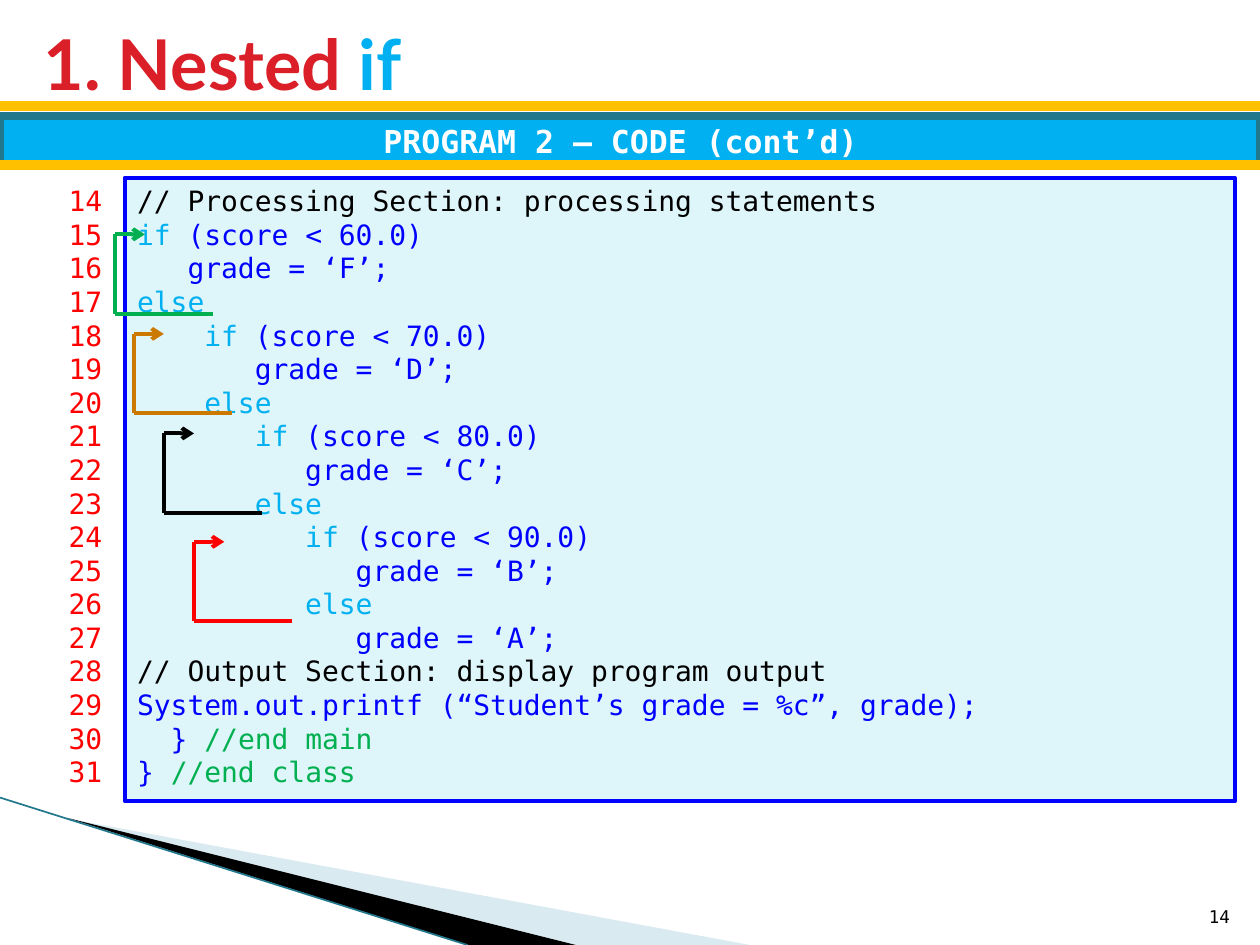
from lxml import etree
from pptx import Presentation
from pptx.dml.color import RGBColor
from pptx.enum.shapes import MSO_CONNECTOR, MSO_SHAPE
from pptx.enum.text import MSO_ANCHOR, PP_ALIGN
from pptx.oxml.ns import qn
from pptx.util import Inches, Pt

LEFT, CENTER, RIGHT = PP_ALIGN.LEFT, PP_ALIGN.CENTER, PP_ALIGN.RIGHT
TOP, MIDDLE, BOTTOM = MSO_ANCHOR.TOP, MSO_ANCHOR.MIDDLE, MSO_ANCHOR.BOTTOM
RECTANGLE, STRAIGHT = MSO_SHAPE.RECTANGLE, MSO_CONNECTOR.STRAIGHT

MONO, HEADING = "DejaVu Sans Mono", "Lato"
BLACK, WHITE, RED, CRIMSON = "000000", "FFFFFF", "FF0000", "DA1F28"
BLUE, SKY, GREEN, OCHRE, GOLD = "0000FF", "00B0F0", "00B050", "CC7900", "FFC000"

TITLE = [[("1. Nested ", CRIMSON), ("if", SKY)]]
BANNER = [[("PROGRAM 2 – CODE (cont’d) ", WHITE)]]
PAGE_NUMBER = [[("14", BLACK)]]
FIRST_LINE = 14
CODE = [
    [("// Processing Section: processing statements", BLACK)],
    [("if", SKY), (" (score < 60.0)", BLUE)],
    [("   grade = ‘F’;", BLUE)],
    [("else", SKY)],
    [("    if", SKY), (" (score < 70.0)", BLUE)],
    [("       grade = ‘D’;", BLUE)],
    [("    else", SKY)],
    [("       if ", SKY), ("(score < 80.0)", BLUE)],
    [("          grade = ‘C’;", BLUE)],
    [("       else", SKY)],
    [("          if ", SKY), ("(score < 90.0)", BLUE)],
    [("             grade = ‘B’;", BLUE)],
    [("          else", SKY)],
    [("             grade = ‘A’;", BLUE)],
    [("// Output Section: display program output", BLACK)],
    [("System.out.printf (“Student’s grade = %c”, grade);", BLUE)],
    [("  } ", BLUE), ("//end main", GREEN)],
    [("} ", BLUE), ("//end class", GREEN)],
]
NUMBERS = [[(str(FIRST_LINE + row), RED)] for row in range(len(CODE))]

BRACKETS = [(1.54, 4.3, RED), (1.3, 3.44, BLACK), (1.06, 2.65, OCHRE), (0.91, 1.86, GREEN)]
BRACKET_WIDTH, BRACKET_HEIGHT, ARROW_LENGTH = 0.78, 0.63, 0.24
SWOOSHES = [
    ([(0.55, 6.5), (5.95, 7.5), (4.56, 7.5)], "A0CBDC", 40),
    ([(0.53, 6.49), (4.57, 7.5), (3.72, 7.5)], BLACK, 100),
]


def color(value):
    """Turn a hex string into a colour."""
    return RGBColor.from_string(value)


def write(box, lines, size, font=MONO, bold=False, align=LEFT, anchor=TOP):
    """Fill a box with paragraphs of coloured spans."""
    frame = box.text_frame
    frame.word_wrap = True
    frame.vertical_anchor = anchor
    style = {"name": font, "size": Pt(size), "bold": bold}
    for index, spans in enumerate(lines):
        para = frame.paragraphs[0] if index == 0 else frame.add_paragraph()
        para.alignment = align
        for text, ink in spans:
            span = para.add_run()
            span.text = text
            span.font.color.rgb = color(ink)
            for name, value in style.items():
                setattr(span.font, name, value)


def add_text(page, area, lines, size, **style):
    """Add a text box."""
    box = page.shapes.add_textbox(*map(Inches, area))
    write(box, lines, size, **style)


def add_panel(page, area, fill, outline, width):
    """Add an outlined rectangle."""
    panel = page.shapes.add_shape(RECTANGLE, *map(Inches, area))
    panel.shadow.inherit = False
    panel.fill.solid()
    panel.fill.fore_color.rgb = color(fill)
    panel.line.color.rgb = color(outline)
    panel.line.width = Pt(width)
    return panel


def add_line(page, start, end, ink, width, arrow=False):
    """Add a straight line, with an arrowhead at its end on request."""
    line = page.shapes.add_connector(STRAIGHT, *map(Inches, start + end))
    line.line.color.rgb = color(ink)
    line.line.width = Pt(width)
    properties = line.line._get_or_add_ln()
    if arrow:
        etree.SubElement(properties, qn("a:tailEnd"), type="arrow")
    etree.SubElement(properties.getparent(), qn("a:effectLst"))


def add_swoosh(page, points, fill, opacity):
    """Add a filled triangle of the footer decoration."""
    corners = [(Inches(x), Inches(y)) for x, y in points]
    builder = page.shapes.build_freeform(*corners[0], scale=1.0)
    builder.add_line_segments(corners[1:], close=True)
    swoosh = builder.convert_to_shape()
    swoosh.shadow.inherit = False
    swoosh.fill.solid()
    swoosh.fill.fore_color.rgb = color(fill)
    swoosh.line.fill.background()
    if opacity < 100:
        tint = swoosh._element.spPr.find(qn("a:solidFill"))[0]
        etree.SubElement(tint, qn("a:alpha"), val=str(opacity * 1000))


def add_bracket(page, left, top, ink):
    """Link an else back to its if with three lines."""
    right, bottom = left + BRACKET_WIDTH, top + BRACKET_HEIGHT
    corners = [(right, bottom), (left, bottom), (left, top), (left + ARROW_LENGTH, top)]
    for index, (start, end) in enumerate(zip(corners, corners[1:])):
        add_line(page, start, end, ink, 2.25, arrow=index == 2)


def main():
    """Build the slide and save it."""
    deck = Presentation()
    deck.slide_width, deck.slide_height = Inches(10), Inches(7.5)
    page = deck.slides.add_slide(deck.slide_layouts[6])

    for swoosh in SWOOSHES:
        add_swoosh(page, *swoosh)
    add_line(page, (0, 6.33), (3.71, 7.5), "21788D", 0.95)

    banner = add_panel(page, (0, 0.92, 10, 0.39), SKY, "21788D", 4.33)
    write(banner, BANNER, 18, bold=True, align=CENTER, anchor=MIDDLE)
    for height in (0.84, 1.31):
        add_line(page, (0, height), (10, height), GOLD, 6)

    listing = add_panel(page, (0.99, 1.41, 8.81, 4.95), "DEF5FA", BLUE, 2.25)
    write(listing, CODE, 16)
    add_text(page, (0.2, 1.41, 0.71, 4.95), NUMBERS, 16, align=RIGHT)
    add_text(page, (0.25, 0.17, 9.47, 0.65), TITLE, 40, font=HEADING, bold=True, anchor=MIDDLE)
    add_text(page, (9.46, 7.01, 0.4, 0.4), PAGE_NUMBER, 10, align=RIGHT, anchor=BOTTOM)

    for bracket in BRACKETS:
        add_bracket(page, *bracket)
    deck.save("out.pptx")


if __name__ == "__main__":
    main()
